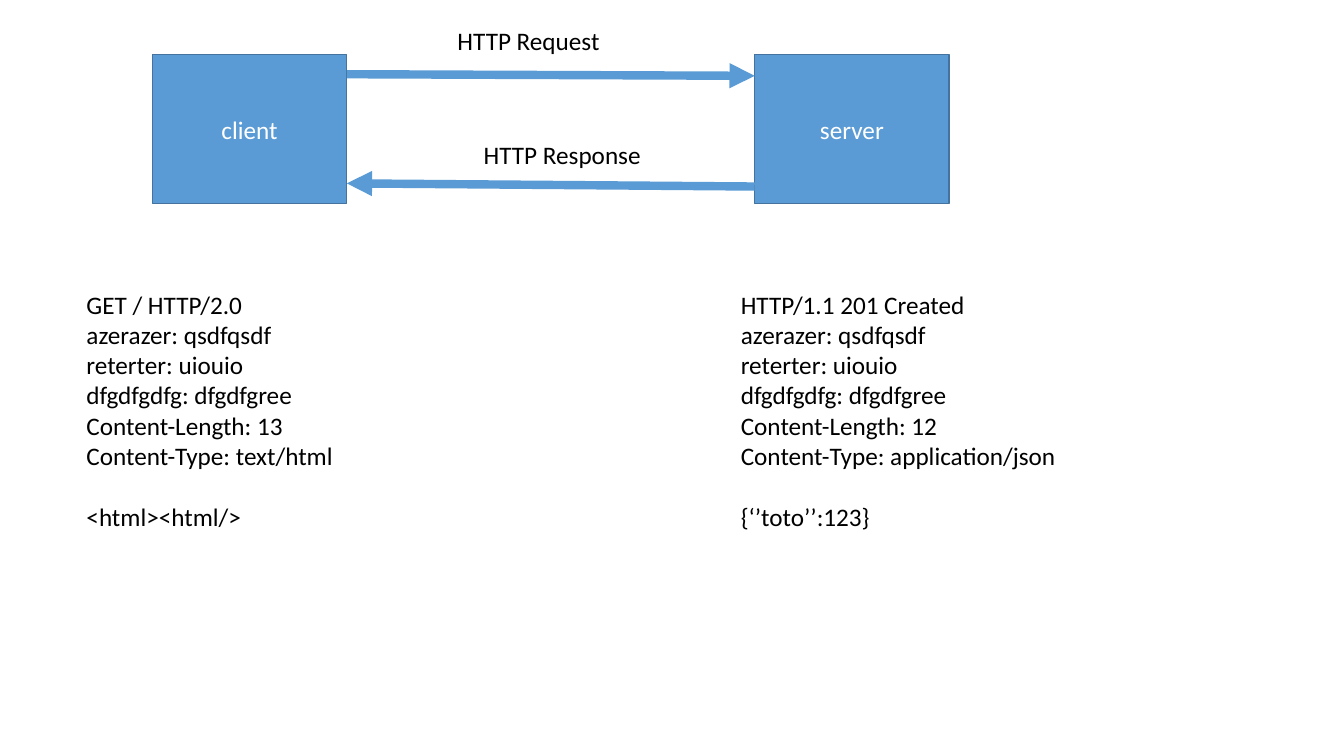
from dataclasses import dataclass

from pptx import Presentation
from pptx import util as u
from pptx.dml import color
from pptx.enum import shapes, text
from pptx.oxml import ns, xmlchemy


@dataclass(frozen=True)
class Theme:
    """Colours, font and sizes in points."""
    fill: color.RGBColor = color.RGBColor(0x5B, 0x9B, 0xD5)
    border: color.RGBColor = color.RGBColor(0x43, 0x73, 0x9E)
    light: color.RGBColor = color.RGBColor(0xFF, 0xFF, 0xFF)
    dark: color.RGBColor = color.RGBColor(0, 0, 0)
    font: str = "Calibri"
    size: float = 18
    line_height: float = 22
    border_width: float = 1
    arrow_width: float = 6


@dataclass(frozen=True)
class Node:
    """A machine in the exchange, placed by its left edge in cm."""
    name: str
    left: float


@dataclass(frozen=True)
class Arrow:
    """A message arrow, with its ends in cm."""
    x1: float
    y1: float
    x2: float
    y2: float


@dataclass(frozen=True)
class Note:
    """Lines of text in a box in cm, with an optional message body."""
    left: float
    top: float
    width: float
    height: float
    lines: tuple[str, ...]
    body: str = ""


THEME = Theme()
NODE_TOP, NODE_WIDTH, NODE_HEIGHT = 1.37, 4.9, 3.76
CLIENT, SERVER = Node("client", 3.84), Node("server", 19.02)
CLIENT_EDGE, SERVER_EDGE = CLIENT.left + NODE_WIDTH, SERVER.left
HEADERS = ("azerazer: qsdfqsdf", "reterter: uiouio", "dfgdfgdfg: dfgdfgree")
MESSAGE_TOP, MESSAGE_HEIGHT = 7.16, 6.4

ARROWS = (
    Arrow(CLIENT_EDGE, 1.87, SERVER_EDGE, 1.91),
    Arrow(SERVER_EDGE, 4.7, CLIENT_EDGE, 4.62),
)
NOTES = (
    Note(11.28, 0.51, 4.14, 1.02, ("HTTP Request",)),
    Note(11.94, 3.38, 4.52, 1.02, ("HTTP Response",)),
    Note(1.93, MESSAGE_TOP, 6.81, MESSAGE_HEIGHT,
         ("GET / HTTP/2.0", *HEADERS, "Content-Length: 13",
          "Content-Type: text/html"),
         "<html><html/>"),
    Note(18.42, MESSAGE_TOP, 8.56, MESSAGE_HEIGHT,
         ("HTTP/1.1 201 Created", *HEADERS, "Content-Length: 12",
          "Content-Type: application/json"),
         "{‘’toto’’:123}"),
)


def apply(target: object, formats: dict[str, object]) -> None:
    """Set each attribute of target named in formats."""
    for name, value in formats.items():
        setattr(target, name, value)


def write(p, content: str, ink: color.RGBColor) -> None:
    """Add one run in the theme font to a paragraph."""
    r = p.add_run()
    r.text = content
    apply(r.font, {"name": THEME.font, "size": u.Pt(THEME.size)})
    r.font.color.rgb = ink


def draw_node(slide, node: Node) -> None:
    """Draw a machine as a labelled rectangle."""
    sp = slide.shapes.add_shape(
        shapes.MSO_SHAPE.RECTANGLE, u.Cm(node.left), u.Cm(NODE_TOP),
        u.Cm(NODE_WIDTH), u.Cm(NODE_HEIGHT))
    sp.shadow.inherit = False
    sp.fill.solid()
    sp.fill.fore_color.rgb = THEME.fill
    sp.line.color.rgb = THEME.border
    sp.line.width = u.Pt(THEME.border_width)
    tf = sp.text_frame
    tf.vertical_anchor = text.MSO_ANCHOR.MIDDLE
    p = tf.paragraphs[0]
    p.alignment = text.PP_ALIGN.CENTER
    write(p, node.name, THEME.light)


def draw_arrow(slide, arrow: Arrow) -> None:
    """Draw a thick line with a triangle at its end."""
    cx = slide.shapes.add_connector(
        shapes.MSO_CONNECTOR.STRAIGHT, u.Cm(arrow.x1), u.Cm(arrow.y1),
        u.Cm(arrow.x2), u.Cm(arrow.y2))
    cx.line.color.rgb = THEME.fill
    cx.line.width = u.Pt(THEME.arrow_width)
    tail = xmlchemy.OxmlElement("a:tailEnd")
    tail.set("type", "triangle")
    sp_pr = cx.element.spPr
    sp_pr.find(ns.qn("a:ln")).append(tail)
    sp_pr.append(xmlchemy.OxmlElement("a:effectLst"))


def draw_note(slide, note: Note) -> None:
    """Write the lines, then the body after a gap one line high."""
    sp = slide.shapes.add_textbox(
        u.Cm(note.left), u.Cm(note.top), u.Cm(note.width), u.Cm(note.height))
    tf = sp.text_frame
    apply(tf, {"word_wrap": False,
               "auto_size": text.MSO_AUTO_SIZE.SHAPE_TO_FIT_TEXT})
    for i, line in enumerate(note.lines):
        p = tf.add_paragraph() if i else tf.paragraphs[0]
        write(p, line, THEME.dark)
    if note.body:
        p = tf.add_paragraph()
        p.space_before = u.Pt(THEME.line_height)
        write(p, note.body, THEME.dark)


def main() -> None:
    """Build the slide and save it."""
    prs = Presentation()
    apply(prs, {"slide_width": u.Cm(33.87), "slide_height": u.Cm(19.05)})
    slide = prs.slides.add_slide(prs.slide_layouts[6])
    for node in (CLIENT, SERVER):
        draw_node(slide, node)
    for arrow in ARROWS:
        draw_arrow(slide, arrow)
    for note in NOTES:
        draw_note(slide, note)
    prs.save("out.pptx")


main()
